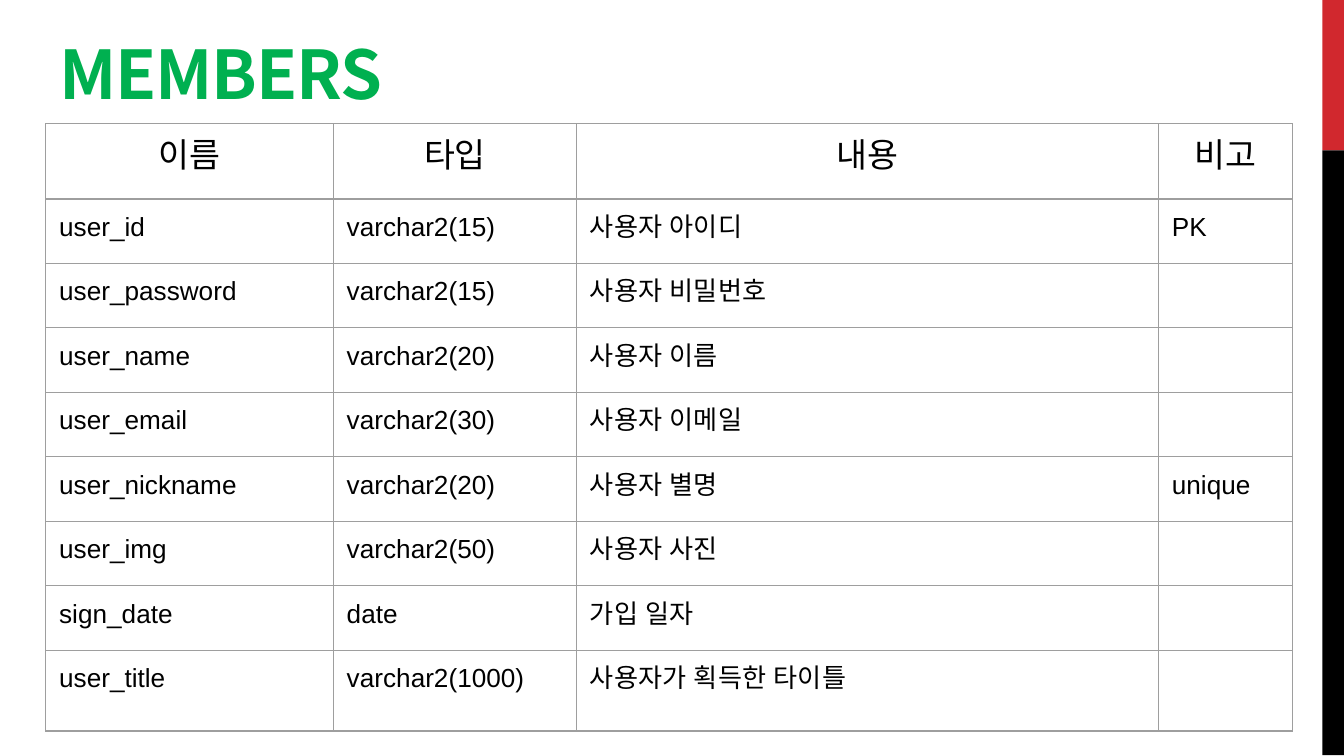
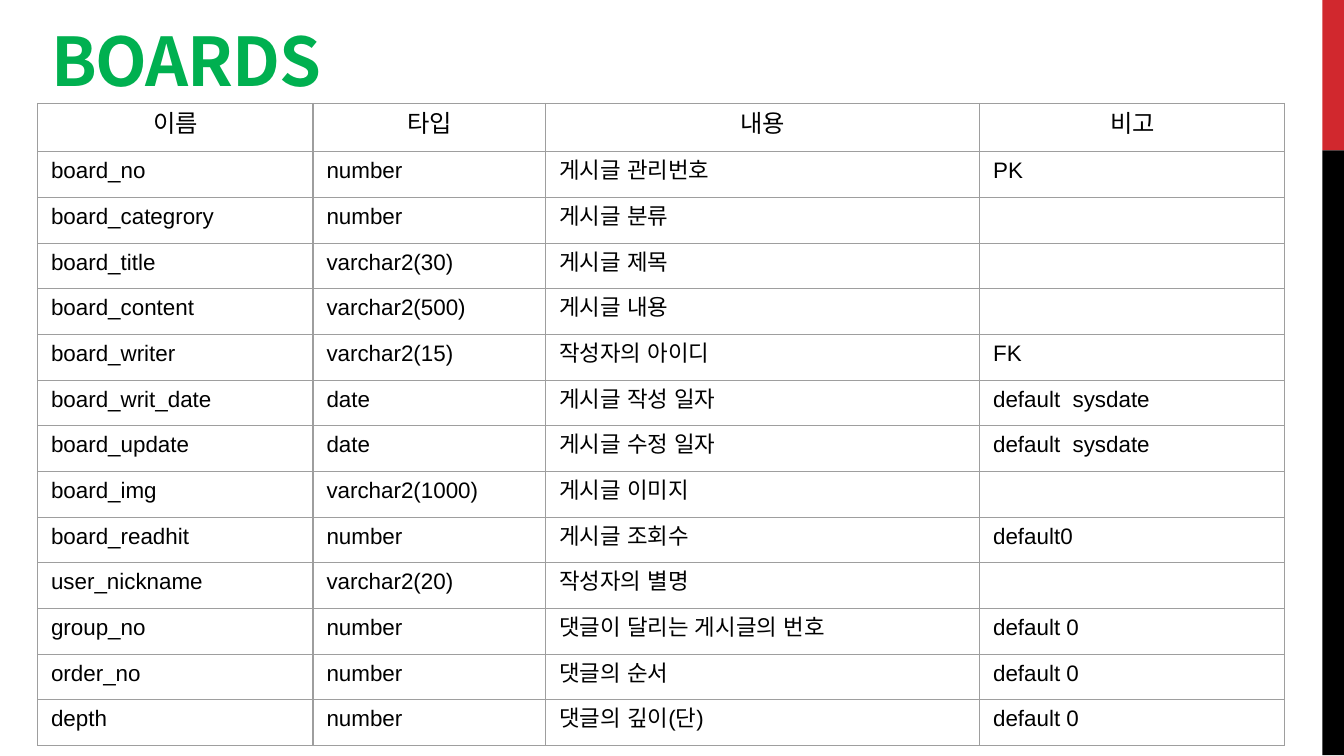
import pptx
import pptx.dml.color
import pptx.enum.shapes
import pptx.enum.text
import pptx.oxml
import pptx.oxml.ns
import pptx.util
from pptx.util import Inches

COLORS = {
    "title": "00B050",
    "accent": "D1282E",
    "band": "000000",
    "text": "000000",
    "border": "9E9E9E",
}
TITLE_FONT = "Noto Sans CJK KR"
TABLE_FONT = "Arial"
HEADINGS = ("이름", "타입", "내용", "비고")
TABLE_WIDTH = 9.28
TITLE_BOX = (9.32, 0.63)

MEMBERS = [
    ("user_id", "varchar2(15)", "사용자 아이디", "PK"),
    ("user_password", "varchar2(15)", "사용자 비밀번호", ""),
    ("user_name", "varchar2(20)", "사용자 이름", ""),
    ("user_email", "varchar2(30)", "사용자 이메일", ""),
    ("user_nickname", "varchar2(20)", "사용자 별명", "unique"),
    ("user_img", "varchar2(50)", "사용자 사진", ""),
    ("sign_date", "date", "가입 일자", ""),
    ("user_title", "varchar2(1000)", "사용자가 획득한 타이틀", ""),
]
BOARDS = [
    ("board_no", "number", "게시글 관리번호", "PK"),
    ("board_categrory", "number", "게시글 분류", ""),
    ("board_title", "varchar2(30)", "게시글 제목", ""),
    ("board_content", "varchar2(500)", "게시글 내용", ""),
    ("board_writer", "varchar2(15)", "작성자의 아이디", "FK"),
    ("board_writ_date", "date", "게시글 작성 일자", "default  sysdate"),
    ("board_update", "date", "게시글 수정 일자", "default  sysdate"),
    ("board_img", "varchar2(1000)", "게시글 이미지", ""),
    ("board_readhit", "number", "게시글 조회수", "default0"),
    ("user_nickname", "varchar2(20)", "작성자의 별명", ""),
    ("group_no", "number", "댓글이 달리는 게시글의 번호", "default 0"),
    ("order_no", "number", "댓글의 순서", "default 0"),
    ("depth", "number", "댓글의 깊이(단)", "default 0"),
]


def rgb(name):
    return pptx.dml.color.RGBColor.from_string(COLORS[name])


def style_font(font, name, size, color, bold=False):
    font.name = name
    font.size = pptx.util.Pt(size)
    font.bold = bold
    font.color.rgb = rgb(color)
    font._element.append(pptx.oxml.parse_xml(
        f'<a:ea {pptx.oxml.ns.nsdecls("a")} typeface="{name}"/>'))


def add_master_bands(deck, page):
    master_tree = deck.slide_master.shapes.element
    bands = (("accent", 0, 1.12), ("band", 1.12, 4.5))
    for number, (color, top, height) in enumerate(bands):
        band = page.shapes.add_shape(
            pptx.enum.shapes.MSO_SHAPE.RECTANGLE,
            Inches(9.84), Inches(top), Inches(0.16), Inches(height))
        band.shadow.inherit = False
        band.fill.solid()
        band.fill.fore_color.rgb = rgb(color)
        band.line.fill.background()
        band.element.nvSpPr.cNvPr.set("id", str(100 + number))
        master_tree.append(band.element)


def set_title(page, text, left, top):
    title = page.shapes.title
    title.left, title.top = Inches(left), Inches(top)
    title.width, title.height = (Inches(side) for side in TITLE_BOX)
    frame = title.text_frame
    frame.text = text
    frame.word_wrap = True
    frame.auto_size = pptx.enum.text.MSO_AUTO_SIZE.NONE
    frame.vertical_anchor = pptx.enum.text.MSO_ANCHOR.TOP
    frame.margin_left = frame.margin_right = Inches(0.1)
    frame.margin_top = frame.margin_bottom = Inches(0.1)
    para = frame.paragraphs[0]
    para.alignment = pptx.enum.text.PP_ALIGN.LEFT
    style_font(para.font, TITLE_FONT, 36, "title", bold=True)
    para.runs[0].font._element.set("spc", "-60")


def set_borders(cell):
    properties = cell._tc.get_or_add_tcPr()
    for side in ("lnL", "lnR", "lnT", "lnB"):
        properties.append(pptx.oxml.parse_xml(
            f'<a:{side} {pptx.oxml.ns.nsdecls("a")} w="9525"><a:solidFill>'
            f'<a:srgbClr val="{COLORS["border"]}"/></a:solidFill></a:{side}>'))


def fill_cell(cell, text, size, margin, centered):
    set_borders(cell)
    cell.fill.background()
    cell.margin_left = cell.margin_right = Inches(0.1)
    cell.margin_top = cell.margin_bottom = Inches(margin)
    cell.text = text
    para = cell.text_frame.paragraphs[0]
    if centered:
        para.alignment = pptx.enum.text.PP_ALIGN.CENTER
    style_font(para.font, TABLE_FONT, size, "text")


def add_schema_table(page, left, top, records, columns, heights, sizes, margin):
    rows = [HEADINGS, *records]
    table = page.shapes.add_table(
        len(rows), len(HEADINGS), Inches(left), Inches(top),
        Inches(TABLE_WIDTH), Inches(sum(heights))).table
    table.first_row = table.horz_banding = False
    for column, width in zip(table.columns, columns):
        column.width = Inches(width)
    for index, (row, values, height) in enumerate(zip(table.rows, rows, heights)):
        row.height = Inches(height)
        is_header = index == 0
        for cell, text in zip(row.cells, values):
            fill_cell(cell, text, sizes[0 if is_header else 1], margin, is_header)


def add_schema_page(deck, name, left, top, table_gap, **table):
    page = deck.slides.add_slide(deck.slide_layouts[5])
    set_title(page, name, left, top)
    add_schema_table(page, left, top + table_gap, **table)
    return page


def main():
    deck = pptx.Presentation()
    deck.slide_width = Inches(10)
    deck.slide_height = deck.slide_width * 9 // 16
    members_page = add_schema_page(
        deck, "MEMBERS", 0.34, 0.14, 0.78, records=MEMBERS,
        columns=(2.14, 1.81, 4.33, 1), heights=[0.56] + [0.48] * 7 + [0.6],
        sizes=(18, 14), margin=0.1)
    add_master_bands(deck, members_page)
    add_schema_page(
        deck, "BOARDS", 0.28, 0.04, 0.73, records=BOARDS,
        columns=(2.05, 1.73, 3.23, 2.27), heights=[0.36] + [0.34] * 13,
        sizes=(13, 12), margin=0.05)
    deck.save("out.pptx")


if __name__ == "__main__":
    main()
